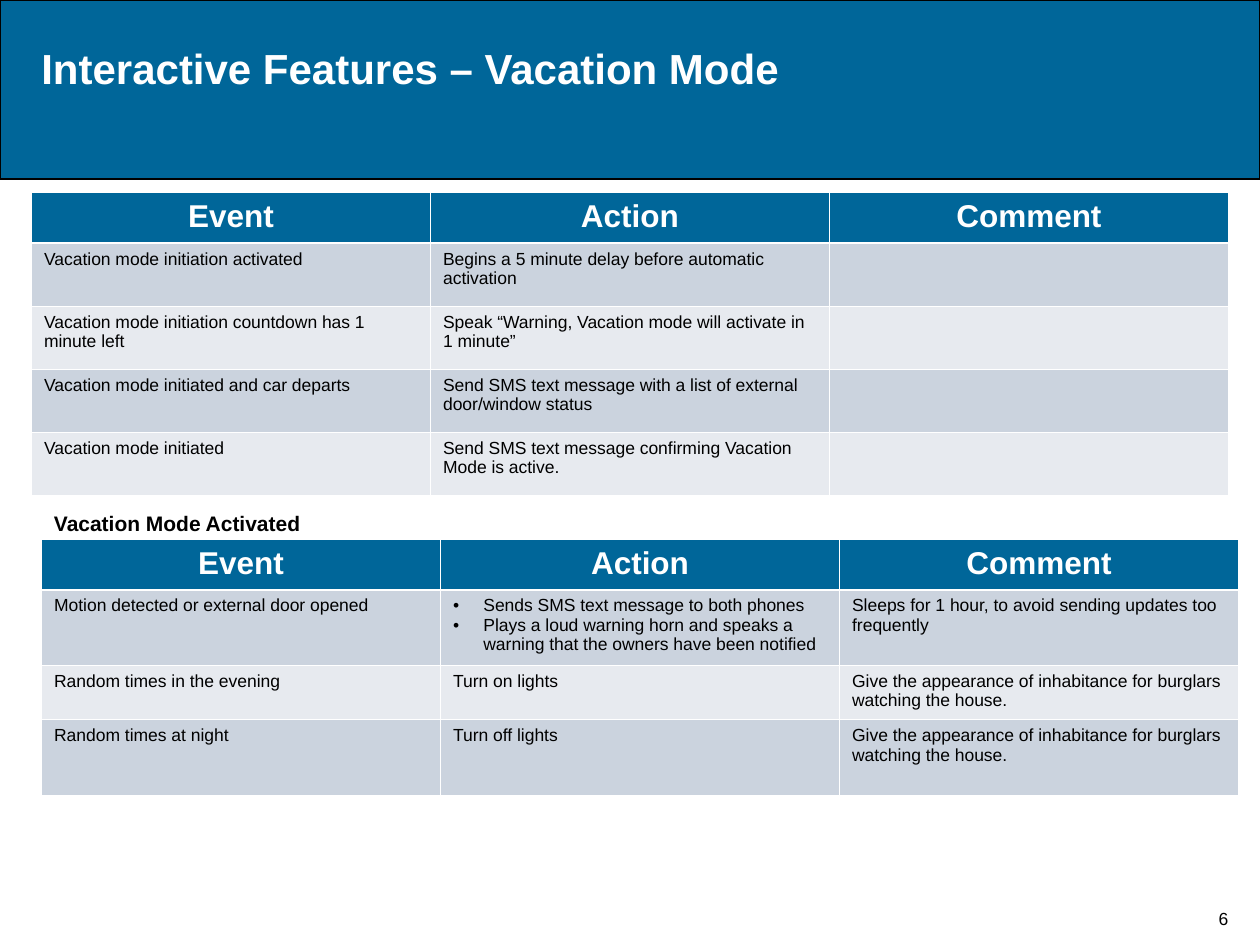
from lxml import etree
from pptx import Presentation
from pptx.dml.color import RGBColor
from pptx.enum.shapes import MSO_SHAPE
from pptx.enum.text import MSO_ANCHOR, PP_ALIGN
from pptx.oxml.ns import qn
from pptx.util import Inches, Pt

RECTANGLE = MSO_SHAPE.RECTANGLE
LEFT, CENTER = PP_ALIGN.LEFT, PP_ALIGN.CENTER
TOP, BOTTOM = MSO_ANCHOR.TOP, MSO_ANCHOR.BOTTOM
FONT = "Arial"
BLUE, WHITE, BLACK = "006699", "FFFFFF", "000000"
BANDS = ["CBD3DE", "E7EAEF"]
THIN, THICK = 0.45, 1.47
TABLE_WIDTH = 9.5
BULLET_INDENT = 0.24

# Content; a list inside a row is a bulleted cell
HEADINGS = ("Event", "Action", "Comment")
INITIATION_ROWS = [
    ("Vacation mode initiation activated",
     "Begins a 5 minute delay before automatic activation", ""),
    ("Vacation mode initiation countdown has 1 minute left",
     "Speak “Warning, Vacation mode will activate in 1 minute”", ""),
    ("Vacation mode initiated and car departs",
     "Send SMS text message with a list of external door/window status", ""),
    ("Vacation mode initiated",
     "Send SMS text message confirming Vacation Mode is active.", ""),
]
APPEARANCE = "Give the appearance of inhabitance for burglars watching the house."
ACTIVATED_ROWS = [
    ("Motion detected or external door opened",
     ["Sends SMS text message to both phones",
      "Plays a loud warning horn and speaks a warning that the owners have been notified"],
     "Sleeps for 1 hour, to avoid sending updates too frequently"),
    ("Random times in the evening", "Turn on lights", APPEARANCE),
    ("Random times at night", "Turn off lights", APPEARANCE),
]
# left, top, row heights, body rows
TABLES = [
    (0.25, 1.53, [0.4, 0.5, 0.5, 0.5, 0.5], INITIATION_ROWS),
    (0.33, 4.28, [0.4, 0.6, 0.43, 0.6], ACTIVATED_ROWS),
]
# text, box, format
LABELS = [
    ("6", (9.5, 6.92, 0.42, 0.5),
     dict(size=10, align=CENTER, anchor=BOTTOM, wrap=False)),
    ("Interactive Features – Vacation Mode", (0.23, 0.29, 9.43, 0.5),
     dict(size=24, color=WHITE, bold=True)),
    ("Vacation Mode Activated", (0.33, 4, 2.17, 0.3),
     dict(size=12, bold=True, wrap=False)),
]


def rgb(value):
    return RGBColor.from_string(value)


def add_bullet(paragraph):
    properties = paragraph._p.get_or_add_pPr()
    properties.set("marL", str(Inches(BULLET_INDENT)))
    properties.set("indent", str(-Inches(BULLET_INDENT)))
    etree.SubElement(properties, qn("a:buFont"), typeface=FONT)
    etree.SubElement(properties, qn("a:buChar"), char="•")


def write_text(frame, text, size=10, color=BLACK, bold=False, align=LEFT,
               anchor=TOP, wrap=True):
    frame.word_wrap = wrap
    frame.vertical_anchor = anchor
    bulleted = isinstance(text, list)
    for index, line in enumerate(text if bulleted else [text]):
        paragraph = frame.add_paragraph() if index else frame.paragraphs[0]
        paragraph.alignment = align
        if bulleted:
            add_bullet(paragraph)
        run = paragraph.add_run()
        run.text = line
        run.font.name = FONT
        run.font.size = Pt(size)
        run.font.bold = bold
        run.font.color.rgb = rgb(color)


def set_borders(cell, top, bottom):
    properties = cell._tc.get_or_add_tcPr()
    sides = [("a:lnL", THIN), ("a:lnR", THIN), ("a:lnT", top), ("a:lnB", bottom)]
    for side, width in sides:
        line = etree.SubElement(properties, qn(side), w=str(Pt(width)))
        fill = etree.SubElement(line, qn("a:solidFill"))
        etree.SubElement(fill, qn("a:srgbClr"), val=WHITE)


def add_event_table(slide, left, top, heights, body):
    rows = [HEADINGS] + body
    table = slide.shapes.add_table(
        len(rows), len(HEADINGS), Inches(left), Inches(top),
        Inches(TABLE_WIDTH), Inches(sum(heights))).table
    for column in table.columns:
        column.width = Inches(TABLE_WIDTH / len(HEADINGS))
    for row_index, (row, height) in enumerate(zip(rows, heights)):
        table.rows[row_index].height = Inches(height)
        header = row_index == 0
        for column_index, text in enumerate(row):
            cell = table.cell(row_index, column_index)
            # Borders come before the fill in the cell properties
            set_borders(cell, THICK if row_index == 1 else THIN,
                        THICK if header else THIN)
            cell.fill.solid()
            cell.fill.fore_color.rgb = rgb(BLUE if header else BANDS[(row_index - 1) % 2])
            if header:
                write_text(cell.text_frame, text, size=18, color=WHITE,
                           bold=True, align=CENTER)
            elif text:
                write_text(cell.text_frame, text)


presentation = Presentation()
presentation.slide_width, presentation.slide_height = Inches(10), Inches(7.5)
slide = presentation.slides.add_slide(presentation.slide_layouts[6])

# Title band
band = slide.shapes.add_shape(RECTANGLE, 0, 0, Inches(10), Inches(1.42))
band.shadow.inherit = False
band.fill.solid()
band.fill.fore_color.rgb = rgb(BLUE)
band.line.color.rgb = rgb(BLACK)
band.line.width = Pt(1)

# Event tables
for left, top, heights, body in TABLES:
    add_event_table(slide, left, top, heights, body)

# Title, subheading and page number
for text, box, text_format in LABELS:
    label = slide.shapes.add_textbox(*map(Inches, box))
    write_text(label.text_frame, text, **text_format)

presentation.save("out.pptx")
